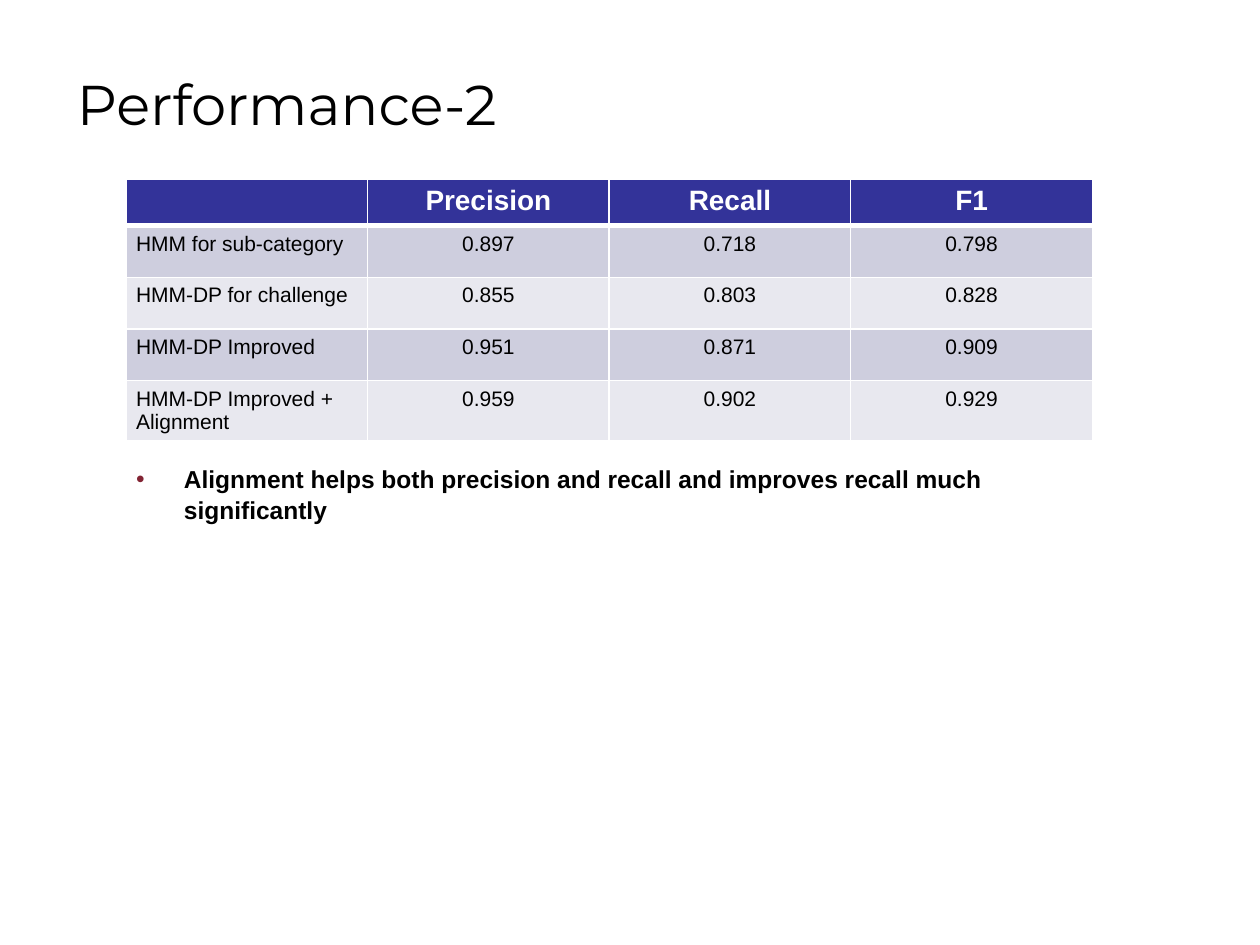
from dataclasses import dataclass

from lxml import etree
from pptx import Presentation
from pptx.dml.color import RGBColor
from pptx.enum.text import MSO_ANCHOR, MSO_AUTO_SIZE, PP_ALIGN
from pptx.oxml.ns import qn
from pptx.util import Inches, Pt

LEFT, CENTER = PP_ALIGN.LEFT, PP_ALIGN.CENTER
TOP, MIDDLE = MSO_ANCHOR.TOP, MSO_ANCHOR.MIDDLE
NO_FIT = MSO_AUTO_SIZE.NONE
TITLE_AND_BODY = 1


@dataclass(frozen=True)
class Theme:
    ink: str = "000000"
    paper: str = "FFFFFF"
    header: str = "333399"
    bands: tuple = ("CECEDE", "E8E8EF")
    bullet: str = "822433"
    title_font: str = "Montserrat"
    body_font: str = "Arial"
    title_size: int = 32
    header_size: int = 16
    body_size: int = 14
    cell_size: int = 12


def write(tf, text, *, font, size, color, bold=False, align=LEFT):
    """Put one formatted paragraph into a text frame."""
    p = tf.paragraphs[0]
    p.alignment = align
    if text:
        r = p.add_run()
        r.text = text
        r.font.name, r.font.size, r.font.bold = font, Pt(size), bold
        r.font.color.rgb = RGBColor.from_string(color)
    else:
        # An empty cell needs its type size too, or its row grows
        etree.SubElement(p._p, qn("a:endParaRPr"), sz=str(size * 100))
    return p


def add_color(parent, tag, color):
    node = etree.SubElement(parent, qn(tag))
    etree.SubElement(node, qn("a:srgbClr"), val=color)


class Deck:
    """Holds the theme and the current slide; lengths are grid cells."""

    COLS, ROWS = 100, 75

    def __init__(self, theme):
        self.theme = theme
        self.prs = Presentation()
        self.prs.slide_width, self.prs.slide_height = Inches(10), Inches(7.5)
        self.s = self.prs.slides.add_slide(self.prs.slide_layouts[TITLE_AND_BODY])

    def x(self, cols):
        return int(self.prs.slide_width * cols / self.COLS)

    def y(self, rows):
        return int(self.prs.slide_height * rows / self.ROWS)

    def box(self, col, row, cols, rows):
        return self.x(col), self.y(row), self.x(cols), self.y(rows)

    def placeholder(self, index, area, anchor):
        sp = self.s.placeholders[index]
        sp.left, sp.top, sp.width, sp.height = self.box(*area)
        tf = sp.text_frame
        tf.word_wrap, tf.auto_size, tf.vertical_anchor = True, NO_FIT, anchor
        return tf

    def title(self, text, area):
        t = self.theme
        write(self.placeholder(0, area, MIDDLE), text,
              font=t.title_font, size=t.title_size, color=t.ink)

    def bullet(self, text, area):
        t = self.theme
        p = write(self.placeholder(1, area, TOP), text,
                  font=t.body_font, size=t.body_size, color=t.ink, bold=True)
        p.space_before = Pt(0.2 * t.body_size)
        p.line_spacing = 1.06
        pPr = p._p.get_or_add_pPr()
        indent = Inches(0.38)
        pPr.set("marL", str(indent))
        pPr.set("indent", str(-indent))
        add_color(pPr, "a:buClr", t.bullet)
        etree.SubElement(pPr, qn("a:buFont"), typeface=t.body_font)
        etree.SubElement(pPr, qn("a:buChar"), char="•")

    def borders(self, cell, top, bottom):
        tcPr = cell._tc.get_or_add_tcPr()
        for side, width in (("L", 1), ("R", 1), ("T", top), ("B", bottom)):
            ln = etree.SubElement(tcPr, qn("a:ln" + side), w=str(Pt(width)))
            add_color(ln, "a:solidFill", self.theme.paper)

    def table(self, rows, area, heights):
        t = self.theme
        frame = self.s.shapes.add_table(len(rows), len(rows[0]), *self.box(*area))
        tbl = frame.table
        for i, values in enumerate(rows):
            tbl.rows[i].height = self.y(heights[i])
            head = i == 0
            fill = t.header if head else t.bands[(i - 1) % 2]
            for j, text in enumerate(values):
                cell = tbl.cell(i, j)
                self.borders(cell, 3 if i == 1 else 1, 3 if head else 1)
                cell.fill.solid()
                cell.fill.fore_color.rgb = RGBColor.from_string(fill)
                cell.margin_left = cell.margin_right = Inches(0.08)
                write(cell.text_frame, text, font=t.body_font,
                      size=t.header_size if head else t.cell_size,
                      color=t.paper if head else t.ink, bold=head,
                      align=CENTER if head or j else LEFT)

    def save(self):
        self.prs.save("out.pptx")


SCORES = [
    ("", "Precision", "Recall", "F1"),
    ("HMM for sub-category", "0.897", "0.718", "0.798"),
    ("HMM-DP for challenge", "0.855", "0.803", "0.828"),
    ("HMM-DP Improved", "0.951", "0.871", "0.909"),
    ("HMM-DP Improved + Alignment", "0.959", "0.902", "0.929"),
]


def main():
    deck = Deck(Theme())
    # Title
    deck.title("Performance-2", (5.1, 4, 76.6, 8.4))
    # Takeaway below the table
    deck.bullet("Alignment helps both precision and recall and improves "
                "recall much significantly", (9.8, 36.2, 76.7, 27.6))
    # Scores of each method
    deck.table(SCORES, (10, 14.2, 76.7, 20.3), [3.3, 4.1, 4.1, 4.1, 4.7])
    deck.save()


if __name__ == "__main__":
    main()
